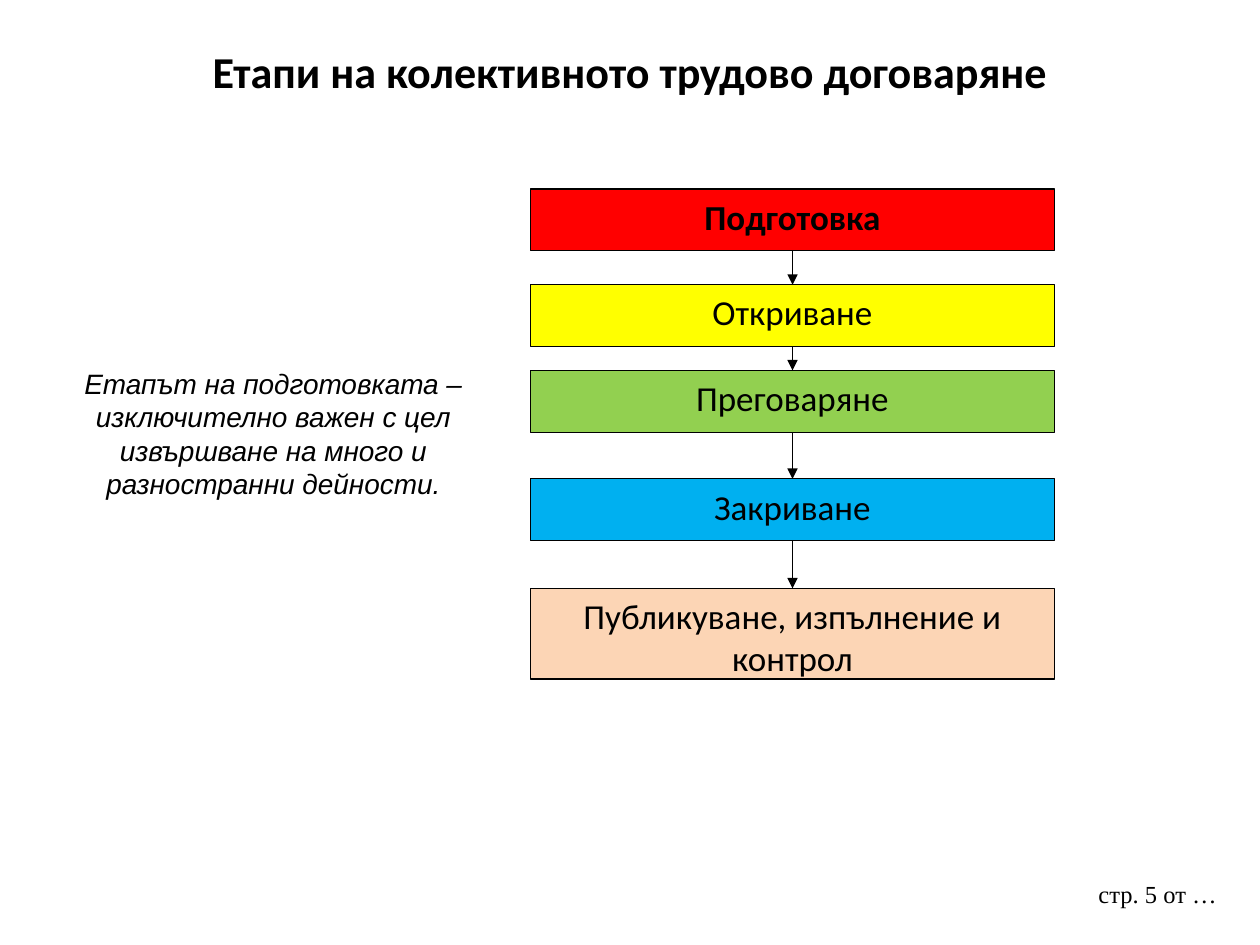
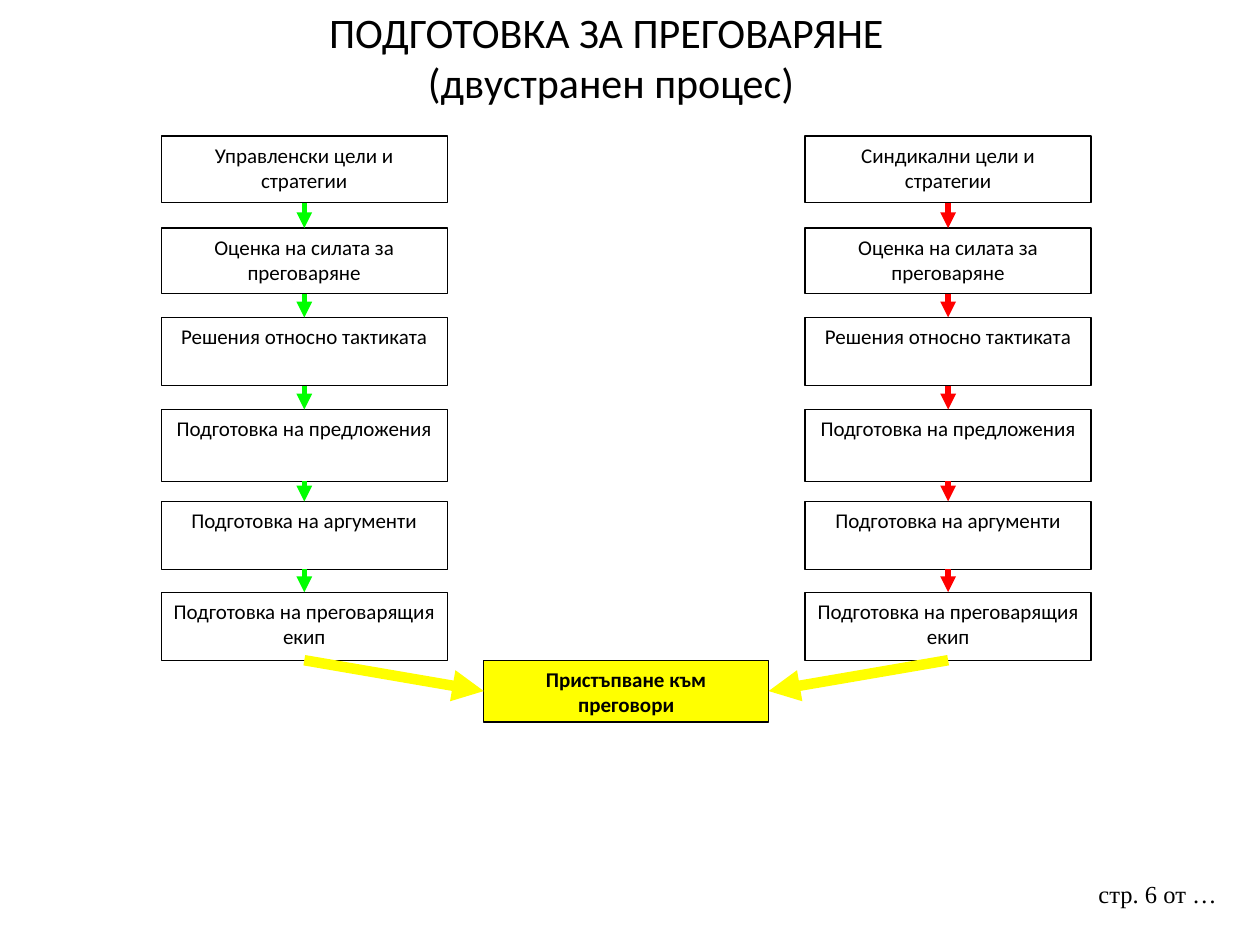
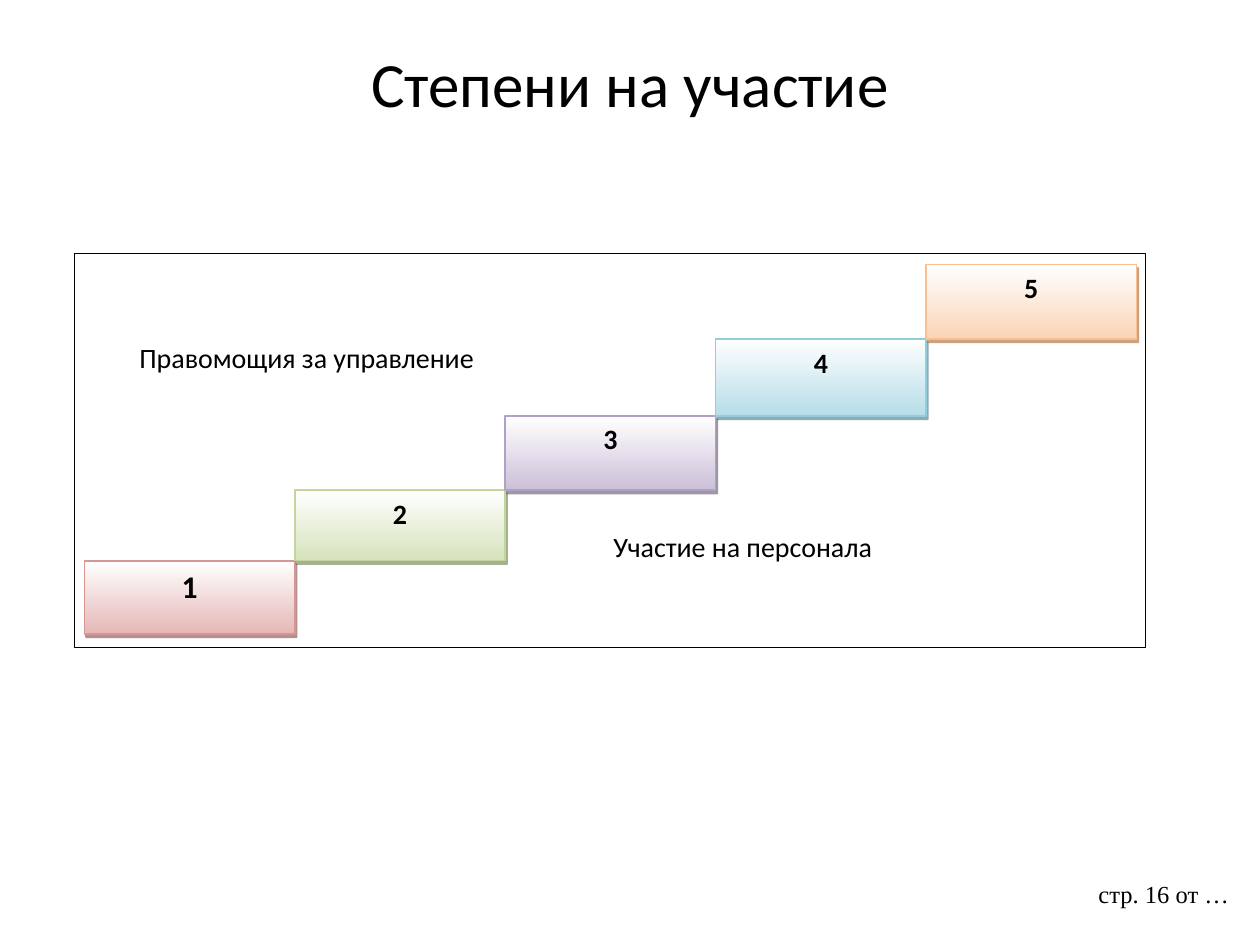
from pptx import Presentation
from pptx.dml.color import RGBColor
from pptx.enum.shapes import MSO_CONNECTOR as CONN, MSO_SHAPE as SHAPE
from pptx.enum.text import MSO_ANCHOR as ANCHOR, MSO_AUTO_SIZE as AUTO, PP_ALIGN as ALIGN
from pptx.oxml.ns import qn
from pptx.util import Inches, Pt
from lxml.etree import SubElement

# Shared colours and fonts
BLACK = RGBColor(0x00, 0x00, 0x00)
WHITE = RGBColor(0xFF, 0xFF, 0xFF)
RED = RGBColor(0xFF, 0x00, 0x00)
YELLOW = RGBColor(0xFF, 0xFF, 0x00)
GREEN = RGBColor(0x92, 0xD0, 0x50)
BLUE = RGBColor(0x00, 0xB0, 0xF0)
PEACH = RGBColor(0xFC, 0xD5, 0xB5)
LIME = RGBColor(0x00, 0xFF, 0x00)
FONT = "Calibri"
FOOTER_FONT = "Times New Roman"
NOTE_FONT = "Arial"

# Stages: text, top, height, fill
STAGES = [
    ("Подготовка", 1.5, 0.49, RED),
    ("Откриване", 2.26, 0.49, YELLOW),
    ("Преговаряне", 2.94, 0.49, GREEN),
    ("Закриване", 3.8, 0.49, BLUE),
    ("Публикуване, изпълнение и контрол", 4.67, 0.72, PEACH),
]

# Preparation steps of both sides: text, top, height
PREPARATION = [
    ("Оценка на силата за преговаряне", 1.81, 0.52),
    ("Решения относно тактиката", 2.52, 0.54),
    ("Подготовка на предложения", 3.25, 0.57),
    ("Подготовка на аргументи", 3.98, 0.54),
    ("Подготовка на преговарящия екип", 4.7, 0.54),
]

# Degrees of participation: top, size, lower fill, line, shadow
DEGREES = [
    (4.45, 18, "E5B8B7", "D99594", "622423"),
    (3.89, 16, "D6E3BC", "C2D69B", "4E6128"),
    (3.3, 16, "CCC0D9", "B2A1C7", "3F3151"),
    (2.69, 16, "B6DDE8", "92CDDC", "205867"),
    (2.1, 16, "FBD4B4", "FABF8F", "974706"),
]


def write(tf, lines, size, font=FONT, align=ALIGN.CENTER, bold=False, italic=False,
          anchor=ANCHOR.TOP):
    """Fill a text frame with one paragraph of one or more lines."""
    tf.word_wrap = True
    tf.auto_size = AUTO.NONE
    tf.vertical_anchor = anchor
    p = tf.paragraphs[0]
    p.alignment = align
    for i, line in enumerate(lines):
        if i:
            p.add_line_break()
        r = p.add_run()
        r.text = line
        r.font.name = font
        r.font.size = Pt(size)
        r.font.bold = bold
        r.font.italic = italic
        r.font.color.rgb = BLACK


def add_text(slide, text, left, top, width, height, size, **style):
    sp = slide.shapes.add_textbox(Inches(left), Inches(top), Inches(width), Inches(height))
    write(sp.text_frame, [text], size, **style)


def add_box(slide, left, top, width, height, fill=WHITE, text=None, size=12, bold=False):
    sp = slide.shapes.add_shape(SHAPE.RECTANGLE, Inches(left), Inches(top),
                                Inches(width), Inches(height))
    sp.shadow.inherit = False
    sp.fill.solid()
    sp.fill.fore_color.rgb = fill
    sp.line.color.rgb = BLACK
    sp.line.width = Pt(0.75)
    if text:
        write(sp.text_frame, [text], size, bold=bold)
    return sp


def add_arrow(slide, x1, y1, x2, y2, color, width):
    cn = slide.shapes.add_connector(CONN.STRAIGHT, Inches(x1), Inches(y1),
                                    Inches(x2), Inches(y2))
    cn.line.color.rgb = color
    cn.line.width = Pt(width)
    sp_pr = cn._element.spPr
    SubElement(sp_pr.find(qn("a:ln")), qn("a:tailEnd"), type="triangle")
    SubElement(sp_pr, qn("a:effectLst"))


def add_flow(slide, left, width, steps, size, color, line_width, bold_first=False):
    """Stack boxes and join each one to the next with an arrow."""
    middle = left + width / 2
    for i, (text, top, height, fill) in enumerate(steps):
        add_box(slide, left, top, width, height, fill, text, size, bold_first and i == 0)
    for (_, top, height, _), (_, next_top, _, _) in zip(steps, steps[1:]):
        add_arrow(slide, middle, top + height, middle, next_top, color, line_width)


def add_step(slide, number, left, top, width, height, size, fill, line, shadow):
    """Gradient box with a hard shadow."""
    sp = add_box(slide, left, top, width, height, text=str(number), size=size, bold=True)
    sp.fill.gradient()
    sp.fill.gradient_angle = 270
    for stop, color in zip(sp.fill.gradient_stops, (WHITE, RGBColor.from_string(fill))):
        stop.color.rgb = color
    sp.line.color.rgb = RGBColor.from_string(line)
    sp.line.width = Pt(1)
    effects = sp._element.spPr.find(qn("a:effectLst"))
    outer = SubElement(effects, qn("a:outerShdw"), blurRad="0", dist=str(Pt(2.2)),
                       dir=str(63 * 60000), algn="ctr", rotWithShape="0")
    color = SubElement(outer, qn("a:srgbClr"), val=shadow)
    SubElement(color, qn("a:alpha"), val="50000")


def add_slide(prs, page, title, size, left, top, height, bold=False):
    """Slide with its title and page footer."""
    slide = prs.slides.add_slide(prs.slide_layouts[5])
    sp = slide.shapes.title
    sp.left, sp.top, sp.width, sp.height = map(Inches, (left, top, 9, height))
    write(sp.text_frame, title, size, bold=bold)
    add_text(slide, f"стр. {page} от …", 8.62, 6.93, 1.3, 0.52, 14,
             font=FOOTER_FONT, align=ALIGN.LEFT)
    return slide


def build_stages(prs):
    slide = add_slide(prs, 5, ["Етапи на колективното трудово договаряне"],
                      25.2, 0.5, 0.3, 0.54, bold=True)
    add_flow(slide, 4.21, 4.16, STAGES, 20, BLACK, 0.75, bold_first=True)
    add_text(slide, "Етапът на подготовката – изключително важен с цел извършване "
             "на много и разностранни дейности.", 0.2, 1.47, 3.94, 3.94, 16,
             font=NOTE_FONT, italic=True, anchor=ANCHOR.MIDDLE)


def build_preparation(prs):
    slide = add_slide(prs, 6, ["ПОДГОТОВКА ЗА ПРЕГОВАРЯНЕ ", "(двустранен процес)"],
                      24, 0.35, 0, 0.91)
    width, goal_left, goal_top, goal_width, goal_height = 2.27, 3.84, 5.24, 2.26, 0.49
    add_box(slide, goal_left, goal_top, goal_width, goal_height, YELLOW,
            "Пристъпване към преговори", bold=True)
    sides = [
        ("Управленски цели и стратегии", 1.28, LIME, goal_left),
        ("Синдикални цели и стратегии", 6.39, RED, goal_left + goal_width),
    ]
    for aims, left, color, goal_edge in sides:
        steps = [(*step, WHITE) for step in [(aims, 1.08, 0.53), *PREPARATION]]
        add_flow(slide, left, width, steps, 12, color, 3)
        add_arrow(slide, left + width / 2, goal_top, goal_edge,
                  goal_top + goal_height / 2, YELLOW, 6)


def build_degrees(prs):
    slide = add_slide(prs, 16, ["Степени на участие"], 36, 0.5, 0.3, 1.25)
    add_box(slide, 0.59, 2.01, 8.5, 3.13)
    # Each step rests on the top of the one before
    width, bottom = 1.67, 5.03
    for i, (top, *style) in enumerate(DEGREES):
        add_step(slide, i + 1, 0.67 + i * width, top, width, bottom - top, *style)
        bottom = top
    add_text(slide, "Правомощия за управление", 0.85, 2.65, 3.17, 0.45, 16)
    add_text(slide, "Участие на персонала", 4.77, 4.15, 3.16, 0.75, 16, align=ALIGN.LEFT)


def main():
    prs = Presentation()
    prs.slide_width, prs.slide_height = Inches(10), Inches(7.5)
    build_stages(prs)
    build_preparation(prs)
    build_degrees(prs)
    prs.save("out.pptx")


if __name__ == "__main__":
    main()
